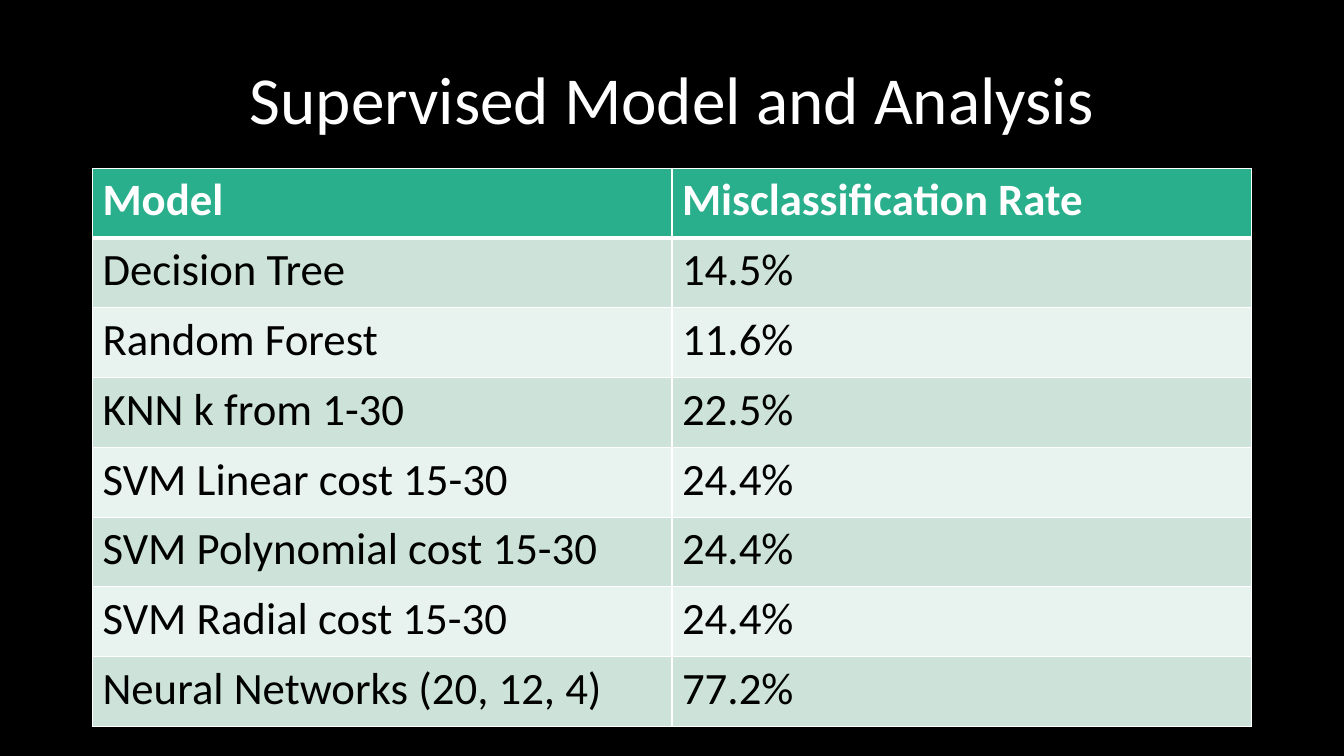
from dataclasses import dataclass

from lxml import etree
from pptx import Presentation
from pptx.dml.color import RGBColor
from pptx.enum.text import MSO_ANCHOR, MSO_AUTO_SIZE, PP_ALIGN
from pptx.oxml.ns import qn
from pptx.util import Cm, Pt

CENTER = PP_ALIGN.CENTER
LEFT = PP_ALIGN.LEFT
MIDDLE = MSO_ANCHOR.MIDDLE
NO_AUTOFIT = MSO_AUTO_SIZE.NONE
TITLE_ONLY = 5


@dataclass(frozen=True)
class Theme:
    font: str = "Calibri"
    background: str = "000000"
    light: str = "FFFFFF"
    dark: str = "000000"
    header: str = "29AF8C"
    bands: tuple = ("CDE3DA", "E8F2EE")
    title_size: int = 48
    table_size: int = 32
    thin_border: int = 1
    header_border: int = 3


THEME = Theme()

TITLE = "Supervised Model and Analysis"
RATES = [
    ("Model", "Misclassification Rate"),
    ("Decision Tree", "14.5%"),
    ("Random Forest", "11.6%"),
    ("KNN k from 1-30", "22.5%"),
    ("SVM Linear cost 15-30", "24.4%"),
    ("SVM Polynomial cost 15-30", "24.4%"),
    ("SVM Radial cost 15-30", "24.4%"),
    ("Neural Networks (20, 12, 4)", "77.2%"),
]


def set_attributes(target, values):
    for name, value in values.items():
        setattr(target, name, value)


def write_text(text_frame, text, size, color, bold=False, alignment=LEFT, line_spacing=1.0):
    text_frame.text = text
    paragraph = text_frame.paragraphs[0]
    set_attributes(paragraph, {"alignment": alignment, "line_spacing": line_spacing})
    font = paragraph.runs[0].font
    set_attributes(font, {"name": THEME.font, "size": Pt(size), "bold": bold})
    font.color.rgb = RGBColor.from_string(color)


def set_borders(cell, widths):
    properties = cell._tc.get_or_add_tcPr()
    for side, width in widths.items():
        line = etree.SubElement(properties, qn(f"a:ln{side}"), w=str(Pt(width)))
        fill = etree.SubElement(line, qn("a:solidFill"))
        etree.SubElement(fill, qn("a:srgbClr"), val=THEME.light)


def add_title(slide, left, top, width, height):
    title = slide.shapes.title
    set_attributes(title, {"left": left, "top": top, "width": width, "height": height})
    set_attributes(title.text_frame, {
        "word_wrap": True, "auto_size": NO_AUTOFIT, "vertical_anchor": MIDDLE,
    })
    write_text(title.text_frame, TITLE, THEME.title_size, THEME.light,
               alignment=CENTER, line_spacing=0.9)


def add_rate_table(slide, left, top, width, height):
    table = slide.shapes.add_table(len(RATES), len(RATES[0]), left, top, width, height).table
    for row_index, values in enumerate(RATES):
        is_header = row_index == 0
        fill_color = THEME.header if is_header else THEME.bands[(row_index - 1) % 2]
        text_color = THEME.light if is_header else THEME.dark
        borders = {
            "L": THEME.thin_border,
            "R": THEME.thin_border,
            "T": THEME.header_border if row_index == 1 else THEME.thin_border,
            "B": THEME.header_border if is_header else THEME.thin_border,
        }
        for column_index, value in enumerate(values):
            cell = table.cell(row_index, column_index)
            write_text(cell.text_frame, value, THEME.table_size, text_color, bold=is_header)
            set_borders(cell, borders)
            cell.fill.solid()
            cell.fill.fore_color.rgb = RGBColor.from_string(fill_color)


def add_model_slide(presentation):
    slide = presentation.slides.add_slide(presentation.slide_layouts[TITLE_ONLY])
    background = slide.background.fill
    background.solid()
    background.fore_color.rgb = RGBColor.from_string(THEME.background)
    margin = Cm(2.33)
    content_width = presentation.slide_width - 2 * margin
    add_title(slide, margin, Cm(0.74), content_width, Cm(3.68))
    add_rate_table(slide, margin, Cm(4.24), content_width, Cm(14.07))


def main():
    presentation = Presentation()
    set_attributes(presentation, {"slide_width": Cm(33.87), "slide_height": Cm(19.05)})
    add_model_slide(presentation)
    presentation.save("out.pptx")


if __name__ == "__main__":
    main()
